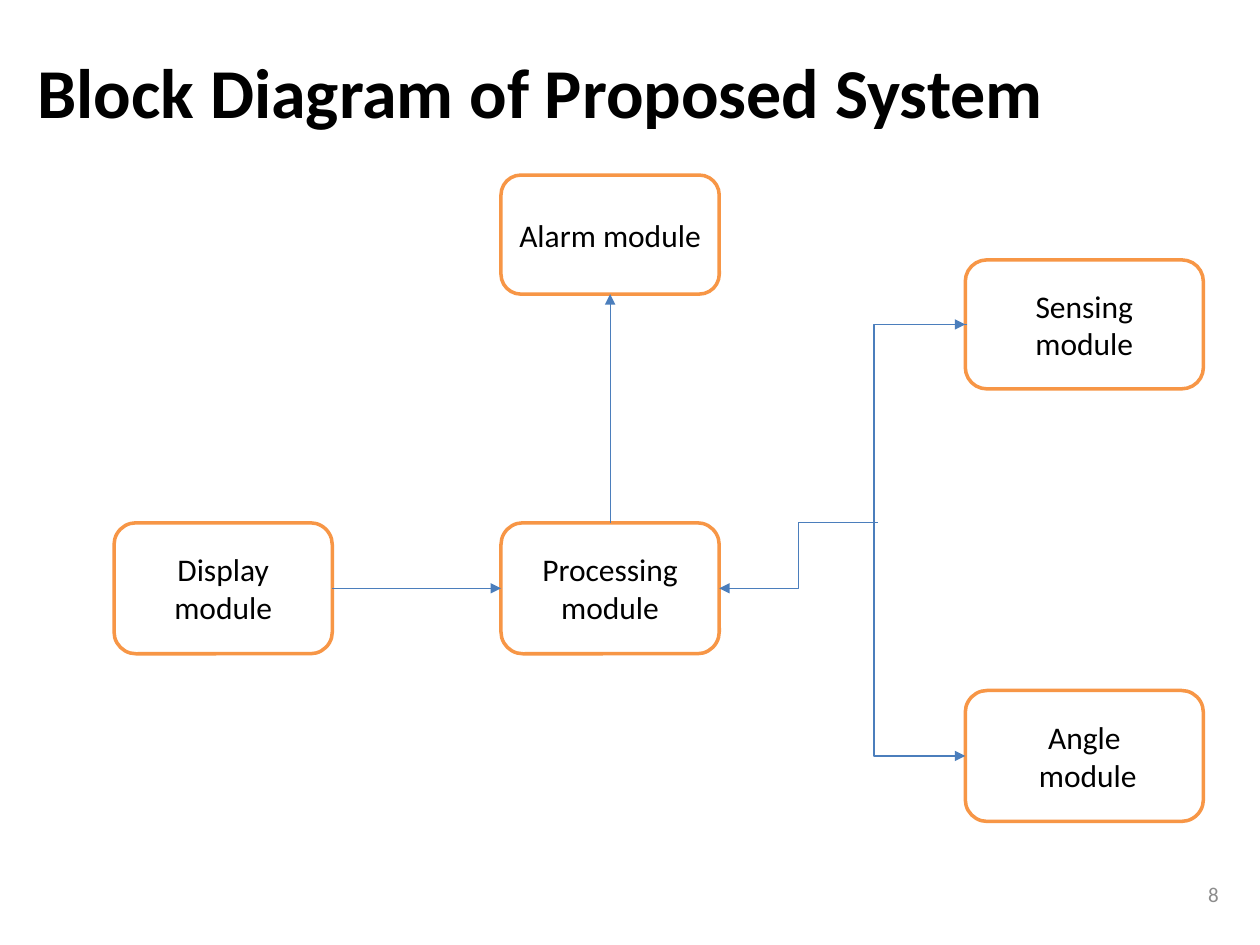
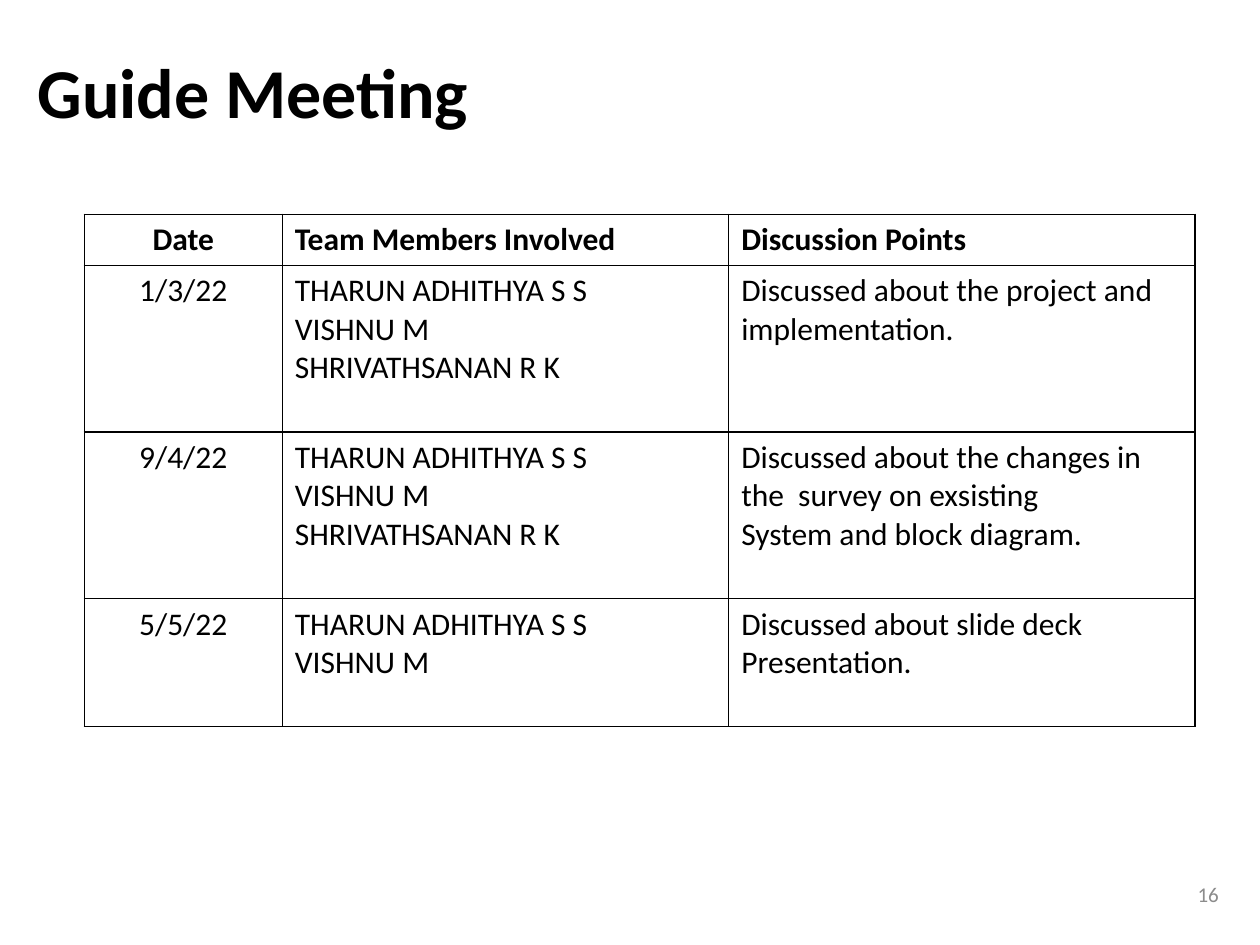
from lxml import etree
from pptx import Presentation
from pptx.dml.color import RGBColor
from pptx.enum.shapes import MSO_CONNECTOR, MSO_SHAPE
from pptx.enum.text import MSO_ANCHOR, PP_ALIGN
from pptx.oxml.ns import qn
from pptx.util import Cm, Pt

STRAIGHT, ELBOW = MSO_CONNECTOR.STRAIGHT, MSO_CONNECTOR.ELBOW
ROUND_RECT = MSO_SHAPE.ROUNDED_RECTANGLE
MIDDLE = MSO_ANCHOR.MIDDLE
LEFT, CENTER, RIGHT = PP_ALIGN.LEFT, PP_ALIGN.CENTER, PP_ALIGN.RIGHT
TOP_SITE, LEFT_SITE, BOTTOM_SITE, RIGHT_SITE = range(4)
FONT = "Calibri"
COLORS = {
    "text": "000000",
    "number": "8C8C8C",
    "fill": "FFFFFF",
    "box": "F79646",
    "arrow": "4B7EBC",
    "border": "000000",
}


def write(tf, text, size, align=LEFT, bold=False, color="text"):
    tf.word_wrap = True
    tf.text = text
    for p in tf.paragraphs:
        p.alignment = align
        for r in p.runs:
            r.font.name, r.font.size, r.font.bold = FONT, Pt(size), bold
            r.font.color.rgb = RGBColor.from_string(COLORS[color])


def add_arrow(s, kind, x1, y1, x2, y2):
    c = s.shapes.add_connector(kind, Cm(x1), Cm(y1), Cm(x2), Cm(y2))
    c.line.color.rgb = RGBColor.from_string(COLORS["arrow"])
    c.line.width = Pt(0.75)
    ln = c.line._get_or_add_ln()
    etree.SubElement(ln, qn("a:tailEnd"), type="triangle")
    etree.SubElement(c._element.spPr, qn("a:effectLst"))
    return c


prs = Presentation()
prs.slide_width, prs.slide_height = Cm(25.4), Cm(19.05)

# Title and slide number on both slides
slides = []
for title, number in [("Block Diagram of Proposed System", "8"), ("Guide Meeting", "16")]:
    s = prs.slides.add_slide(prs.slide_layouts[6])
    tf = s.shapes.add_textbox(Cm(0.51), Cm(0.53), Cm(22.86), Cm(2.59)).text_frame
    write(tf, title, 40, bold=True)
    tf.vertical_anchor = MIDDLE
    tf = s.shapes.add_textbox(Cm(18.9), Cm(17.53), Cm(5.92), Cm(1.01)).text_frame
    write(tf, number, 12, RIGHT, color="number")
    tf.vertical_anchor = MIDDLE
    slides.append(s)
diagram, meeting = slides

# Modules: text, left, top, width, height, side inset
modules = [
    ("Display module", 2.3, 10.54, 4.4, 2.64, 0.26),
    ("Processing module", 10.1, 10.54, 4.4, 2.64, 0.26),
    ("Alarm module", 10.1, 3.53, 4.4, 2.4, 0.2),
    ("Sensing module", 19.46, 5.24, 4.8, 2.6, 0.28),
    ("Angle\n module", 19.46, 13.92, 4.8, 2.64, 0.26),
]
boxes = []
for text, x, y, w, h, inset in modules:
    sp = diagram.shapes.add_shape(ROUND_RECT, Cm(x), Cm(y), Cm(w), Cm(h))
    sp.shadow.inherit = False
    sp.fill.solid()
    sp.fill.fore_color.rgb = RGBColor.from_string(COLORS["fill"])
    sp.line.color.rgb = RGBColor.from_string(COLORS["box"])
    sp.line.width = Pt(2)
    tf = sp.text_frame
    tf.margin_left = tf.margin_right = Cm(inset)
    tf.vertical_anchor = MIDDLE
    write(tf, text, 18, CENTER)
    boxes.append(sp)
display, processing, alarm, sensing, angle = boxes

# Straight arrows glued to their modules
for start, site, end, end_site in [
    (display, RIGHT_SITE, processing, LEFT_SITE),
    (processing, TOP_SITE, alarm, BOTTOM_SITE),
]:
    c = add_arrow(diagram, STRAIGHT, 0, 0, 1, 1)
    c.begin_connect(start, site)
    c.end_connect(end, end_site)

# Bus from the sensing module to the angle module, bent out to the left
bus_x, sensing_x, angle_x, sensing_y = 17.62, 19.5, 19.46, 6.54
bus = add_arrow(diagram, ELBOW, sensing_x, sensing_y, angle_x, 15.24)
bend = round((sensing_x - bus_x) / (sensing_x - angle_x) * 100000)
guides = bus._element.spPr.find(qn("a:prstGeom")).get_or_add_avLst()
etree.SubElement(guides, qn("a:gd"), name="adj1", fmla=f"val {bend}")
add_arrow(diagram, STRAIGHT, 18.9, sensing_y, angle_x, sensing_y)
add_arrow(diagram, ELBOW, 17.7, 10.54, 14.5, 11.86)

# Meeting table
team = ["THARUN ADHITHYA S S", "VISHNU M", "SHRIVATHSANAN R K"]
rows = [
    ("Date", "Team Members Involved", "Discussion Points"),
    ("1/3/22", "\n".join(team), "Discussed about the project and implementation."),
    ("9/4/22", "\n".join(team),
     "Discussed about the changes in\nthe  survey on exsisting\nSystem and block diagram."),
    ("5/5/22", "\n".join(team[:2]), "Discussed about slide deck\nPresentation."),
]
widths = [3.99, 9, 9.4]
heights = [1.03, 3.36, 3.36, 2.58]
table = meeting.shapes.add_table(
    len(rows), len(widths), Cm(1.7), Cm(4.32), Cm(sum(widths)), Cm(sum(heights))
).table
for column, w in zip(table.columns, widths):
    column.width = Cm(w)
for row, h in zip(table.rows, heights):
    row.height = Cm(h)
for i, row in enumerate(rows):
    for j, text in enumerate(row):
        cell = table.cell(i, j)
        write(cell.text_frame, text, 18, LEFT if j else CENTER, bold=i == 0)
        # Hanging indent for discussion points of several lines
        if j == 2 and "\n" in text:
            for p in cell.text_frame.paragraphs:
                pPr = p._p.get_or_add_pPr()
                pPr.set("marL", str(Cm(0.48)))
                pPr.set("indent", str(-Cm(0.48)))
        # Borders come before the fill in the cell properties
        tcPr = cell._tc.get_or_add_tcPr()
        for side in ("lnL", "lnR", "lnT", "lnB"):
            ln = etree.SubElement(tcPr, qn(f"a:{side}"), w=str(Pt(1)))
            fill = etree.SubElement(ln, qn("a:solidFill"))
            etree.SubElement(fill, qn("a:srgbClr"), val=COLORS["border"])
        cell.fill.solid()
        cell.fill.fore_color.rgb = RGBColor.from_string(COLORS["fill"])

prs.save("out.pptx")
